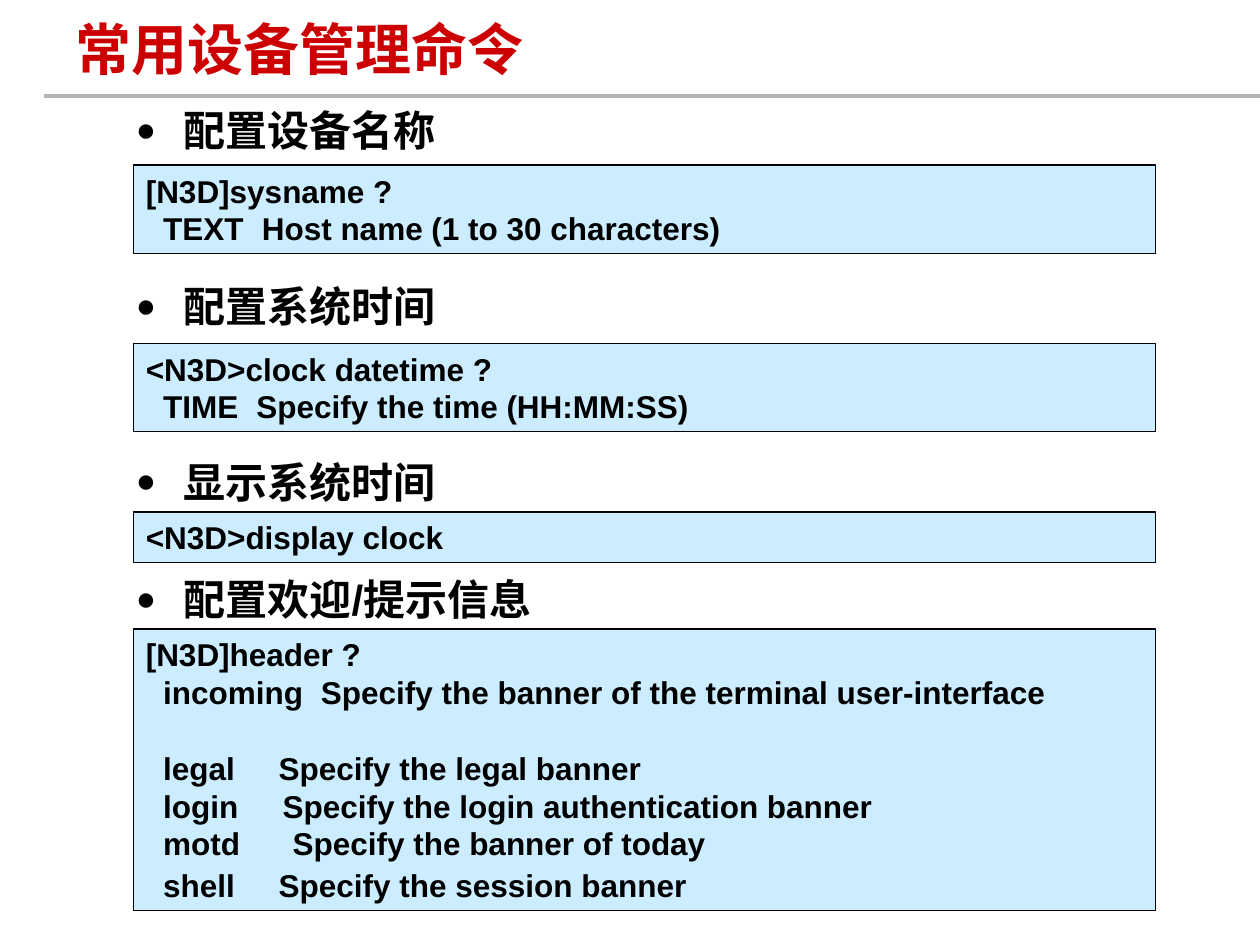
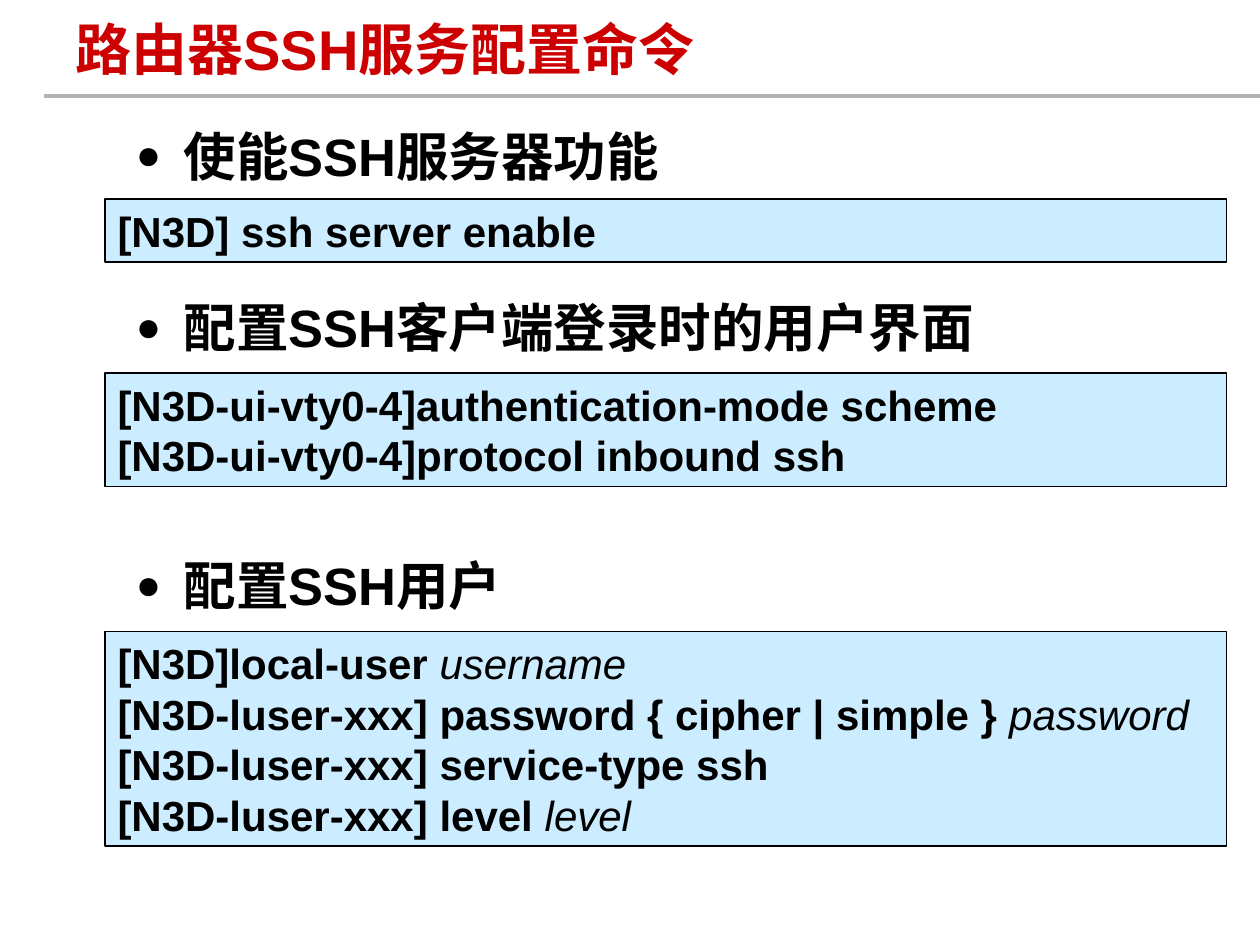
from dataclasses import dataclass

from lxml import etree
from pptx import Presentation
from pptx.dml.color import RGBColor
from pptx.enum.lang import MSO_LANGUAGE_ID as Language
from pptx.enum.shapes import MSO_CONNECTOR as Connector, MSO_SHAPE as Shape
from pptx.enum.text import MSO_ANCHOR as Anchor, MSO_AUTO_SIZE as AutoSize, PP_ALIGN as Align
from pptx.oxml.ns import qn
from pptx.util import Cm, Pt

# Shared style
RED = RGBColor(0xCC, 0x00, 0x00)
BLACK = RGBColor(0x00, 0x00, 0x00)
GREY = RGBColor(0xB2, 0xB2, 0xB2)
PALE_BLUE = RGBColor(0xCC, 0xEC, 0xFF)
FONT = "Arial"
LINE_FACTOR = 1.2
INSET_X, INSET_Y = Cm(0.25), Cm(0.13)
TITLE_BOX = (Cm(1.27), Cm(0.13), Cm(20.12), Cm(1.7))
RULE_LEFT, RULE_TOP = Cm(0.89), Cm(1.93)
BULLET_INDENT = Cm(0.96)
HELP_INDENT = Cm(0.35)


@dataclass
class Line:
    """One command line: runs are (text, is_argument) pairs."""
    runs: list
    tab: float = 0
    before: float = 0
    after: float = 0


def command(text, argument=""):
    return Line([(text, False)] + ([(argument, True)] if argument else []))


def help_line(keyword, description, tab, before=0, after=0):
    return Line([(f"\t{keyword}\t{description}", False)], tab, before, after)


def add_run(paragraph, text, size, color=BLACK, bold=True, italic=False):
    run = paragraph.add_run()
    run.text = text
    font = run.font
    font.name, font.size, font.bold, font.italic = FONT, Pt(size), bold, italic
    font.color.rgb = color
    font.language_id = Language.SIMPLIFIED_CHINESE


def place(shape, left, top, width, height):
    shape.left, shape.top, shape.width, shape.height = left, top, width, height


def prepare_frame(shape, anchor):
    frame = shape.text_frame
    frame.word_wrap = True
    frame.auto_size = AutoSize.NONE
    frame.vertical_anchor = anchor
    frame.margin_left = frame.margin_right = INSET_X
    frame.margin_top = frame.margin_bottom = INSET_Y
    return frame


def paragraphs_for(frame, items):
    """Pair each item with its own paragraph of the frame."""
    for index, item in enumerate(items):
        yield (frame.add_paragraph() if index else frame.paragraphs[0]), item


def set_bullet(paragraph):
    properties = paragraph._p.get_or_add_pPr()
    properties.set("marL", str(BULLET_INDENT))
    properties.set("indent", str(-BULLET_INDENT))
    color = etree.SubElement(properties, qn("a:buClr"))
    etree.SubElement(color, qn("a:srgbClr"), val=str(BLACK))
    etree.SubElement(properties, qn("a:buSzPct"), val="80000")
    etree.SubElement(properties, qn("a:buFont"), typeface=FONT)
    etree.SubElement(properties, qn("a:buChar"), char="●")


def set_tabs(paragraph, *positions):
    tabs = etree.SubElement(paragraph._p.get_or_add_pPr(), qn("a:tabLst"))
    for position in positions:
        etree.SubElement(tabs, qn("a:tab"), pos=str(position), algn="l")


def add_header(slide, text, slide_width):
    # Title and the rule below it
    title = slide.shapes.title
    place(title, *TITLE_BOX)
    paragraph = prepare_frame(title, Anchor.MIDDLE).paragraphs[0]
    paragraph.alignment = Align.LEFT
    add_run(paragraph, text, 32, RED)
    rule = slide.shapes.add_connector(
        Connector.STRAIGHT, RULE_LEFT, RULE_TOP, slide_width, RULE_TOP)
    rule.line.color.rgb = GREY
    rule.line.width = Pt(2.25)
    etree.SubElement(rule._element.spPr, qn("a:effectLst"))


def fill_topics(slide, box, topics, size, line_height, pitch):
    """Topics are (text, rows below the previous topic) pairs."""
    body = slide.placeholders[1]
    place(body, *box)
    frame = prepare_frame(body, Anchor.TOP)
    for paragraph, (text, rows) in paragraphs_for(frame, topics):
        set_bullet(paragraph)
        paragraph.alignment = Align.LEFT
        paragraph.line_spacing = Pt(line_height)
        paragraph.space_before = Pt(rows * pitch - line_height if rows else 0)
        paragraph.space_after = Pt(0)
        add_run(paragraph, text, size)


def add_command_box(slide, left, top, width, lines, size):
    # The height follows from the lines inside
    line_height = size * LINE_FACTOR
    text_height = sum(line_height + line.before + line.after for line in lines)
    box = slide.shapes.add_shape(
        Shape.RECTANGLE, left, top, width, Pt(text_height) + 2 * INSET_Y)
    box.shadow.inherit = False
    box.fill.solid()
    box.fill.fore_color.rgb = PALE_BLUE
    box.line.color.rgb = BLACK
    box.line.width = Pt(0.75)
    frame = prepare_frame(box, Anchor.TOP)
    for paragraph, line in paragraphs_for(frame, lines):
        paragraph.alignment = Align.LEFT
        paragraph.line_spacing = Pt(line_height)
        paragraph.space_before, paragraph.space_after = Pt(line.before), Pt(line.after)
        if line.tab:
            set_tabs(paragraph, HELP_INDENT, Cm(line.tab))
        for text, is_argument in line.runs:
            add_run(paragraph, text, size, bold=not is_argument, italic=is_argument)


def add_command_slide(presentation, title, topic_style, topics, box_style, boxes):
    slide = presentation.slides.add_slide(presentation.slide_layouts[1])
    add_header(slide, title, presentation.slide_width)
    fill_topics(slide, topics=topics, **topic_style)
    left, width, size = box_style
    for top, lines in boxes:
        add_command_box(slide, left, Cm(top), width, lines, size)


def main():
    presentation = Presentation()
    presentation.slide_width, presentation.slide_height = Cm(25.4), Cm(19.05)

    # Device management commands
    add_command_slide(
        presentation, "常用设备管理命令",
        dict(box=(Cm(2.49), Cm(2.18), Cm(20.4), Cm(11.2)),
             size=24, line_height=23, pitch=33.5),
        [("配置设备名称", 0), ("配置系统时间", 3), ("显示系统时间", 3),
         ("配置欢迎/提示信息", 2)],
        (Cm(2.69), Cm(20.6), 18),
        [(3.33, [command("[N3D]sysname ?"),
                 help_line("TEXT", "Host name (1 to 30 characters)", 2.34)]),
         (6.92, [command("<N3D>clock datetime ?"),
                 help_line("TIME", "Specify the time (HH:MM:SS)", 2.23)]),
         (10.32, [command("<N3D>display clock")]),
         (12.68, [command("[N3D]header ?"),
                  help_line("incoming", "Specify the banner of the terminal user-interface",
                            3.53, after=21.6),
                  help_line("legal", "Specify the legal banner", 2.68),
                  help_line("login", "Specify the login authentication banner", 2.76),
                  help_line("motd", "Specify the banner of today", 2.96),
                  help_line("shell", "Specify the session banner", 2.68, before=2.4)])])

    # SSH service commands
    add_command_slide(
        presentation, "路由器SSH服务配置命令",
        dict(box=(Cm(2.49), Cm(2.36), Cm(20.4), Cm(13.2)),
             size=30, line_height=36, pitch=49.1),
        [("使能SSH服务器功能", 0), ("配置SSH客户端登录时的用户界面", 2), ("配置SSH用户", 3)],
        (Cm(2.12), Cm(22.6), 24),
        [(4.01, [command("[N3D] ssh server enable")]),
         (7.52, [command("[N3D-ui-vty0-4]authentication-mode scheme"),
                 command("[N3D-ui-vty0-4]protocol inbound ssh")]),
         (12.73, [command("[N3D]local-user ", "username"),
                  command("[N3D-luser-xxx] password { cipher | simple } ", "password"),
                  command("[N3D-luser-xxx] service-type ssh"),
                  command("[N3D-luser-xxx] level ", "level")])])

    presentation.save("out.pptx")


if __name__ == "__main__":
    main()
